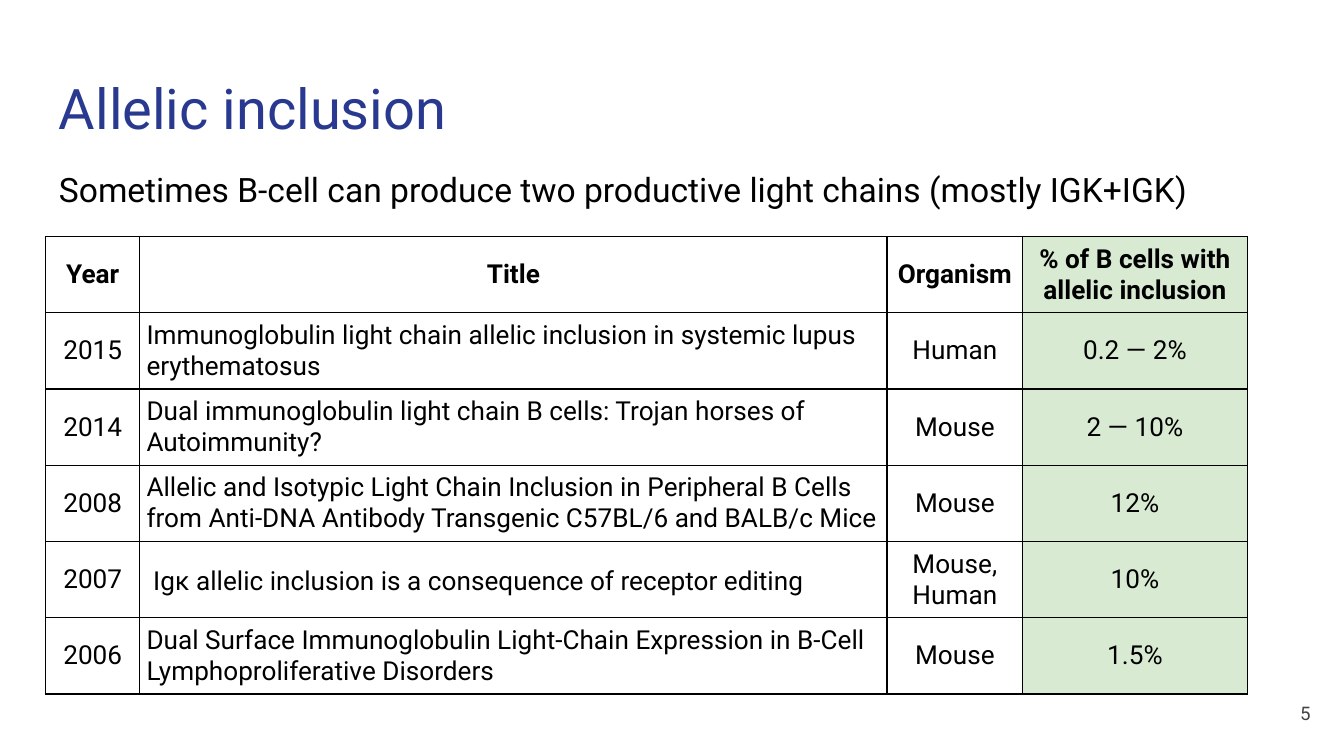
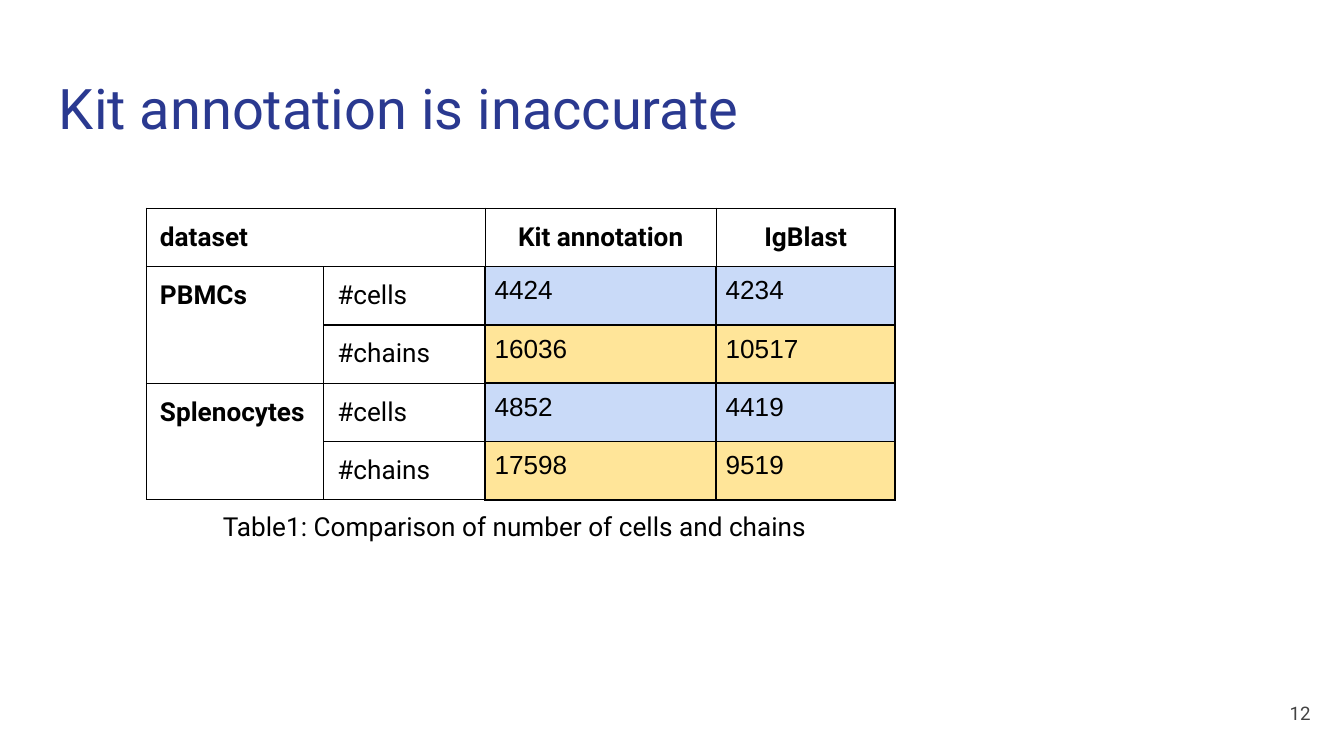
from dataclasses import dataclass
from typing import Optional

from lxml import etree
from pptx import Presentation
from pptx.dml.color import RGBColor
from pptx.enum.text import MSO_ANCHOR, PP_ALIGN
from pptx.oxml.ns import qn
from pptx.util import Inches, Pt

LEFT, CENTER, RIGHT = PP_ALIGN.LEFT, PP_ALIGN.CENTER, PP_ALIGN.RIGHT
TOP, MIDDLE = MSO_ANCHOR.TOP, MSO_ANCHOR.MIDDLE
BLANK_LAYOUT = 6
PAGE_WIDTH = Inches(10)
PAGE_HEIGHT = PAGE_WIDTH * 9 // 16

BLACK = "000000"
TITLE_BLUE = "2A3990"
NUMBER_GRAY = "434343"
GREEN = "D9EAD3"
BLUE = "C9DAF8"
YELLOW = "FFE599"
BODY_FONT = "Roboto"
COUNT_FONT = "Arial"


@dataclass(frozen=True)
class TextStyle:
    size: float
    color: str = BLACK
    align: PP_ALIGN = LEFT
    anchor: MSO_ANCHOR = TOP
    font: str = BODY_FONT
    bold: bool = False
    line_spacing: Optional[float] = None


@dataclass(frozen=True)
class TableCell:
    text: str
    style: TextStyle
    margin: float
    fill: Optional[str] = None
    border: float = 0.75
    indent: float = 0


TITLE = TextStyle(30, TITLE_BLUE)
SUBTITLE = TextStyle(18, line_spacing=1.15)
PAGE_NUMBER = TextStyle(10, NUMBER_GRAY, RIGHT, MIDDLE)
CAPTION = TextStyle(14, align=CENTER)

STUDY_HEADER = TextStyle(14, align=CENTER, anchor=MIDDLE, bold=True)
STUDY_VALUE = TextStyle(14, align=CENTER, anchor=MIDDLE)
STUDY_TITLE = TextStyle(14, anchor=MIDDLE)
STUDY_TITLE_LOOSE = TextStyle(14, anchor=MIDDLE, line_spacing=1.15)

DATASET_HEADER = TextStyle(14, align=CENTER, bold=True)
DATASET_NAME = TextStyle(14, bold=True)
MEASURE = TextStyle(14)
COUNT = TextStyle(14, font=COUNT_FONT)

STUDY_COLUMNS = ("Year", "Title", "Organism", "% of B cells with allelic inclusion")
STUDIES = (
    ("2015", "Immunoglobulin light chain allelic inclusion in systemic lupus erythematosus",
     "Human", "0.2 — 2%"),
    ("2014", "Dual immunoglobulin light chain B cells: Trojan horses of Autoimmunity?",
     "Mouse", "2 — 10%"),
    ("2008", "Allelic and Isotypic Light Chain Inclusion in Peripheral B Cells "
     "from Anti-DNA Antibody Transgenic C57BL/6 and BALB/c Mice", "Mouse", "12%"),
    ("2007", "Igκ allelic inclusion is a consequence of receptor editing",
     "Mouse, Human", "10%"),
    ("2006", "Dual Surface Immunoglobulin Light-Chain Expression in B-Cell "
     "Lymphoproliferative Disorders", "Mouse", "1.5%"),
)
SINGLE_LINE_YEAR = "2007"

DATASET_COLUMNS = ("dataset", "", "Kit annotation", "IgBlast")
DATASETS = (
    ("PBMCs", "#cells", "4424", "4234"),
    ("", "#chains", "16036", "10517"),
    ("Splenocytes", "#cells", "4852", "4419"),
    ("", "#chains", "17598", "9519"),
)


def rgb(value: str) -> RGBColor:
    return RGBColor.from_string(value)


def write_text(frame, text: str, style: TextStyle) -> None:
    para = frame.paragraphs[0]
    para.alignment = style.align
    if style.line_spacing:
        para.line_spacing = style.line_spacing
    para.font.name = style.font
    para.font.size = Pt(style.size)
    para.font.bold = style.bold
    para.font.color.rgb = rgb(style.color)
    if text:
        para.add_run().text = text


def add_text(page, text: str, style: TextStyle,
             left: float, top: float, width: float, height: float) -> None:
    box = page.shapes.add_textbox(Inches(left), Inches(top), Inches(width), Inches(height))
    frame = box.text_frame
    frame.word_wrap = True
    frame.vertical_anchor = style.anchor
    frame.margin_left = frame.margin_right = Inches(0.1)
    frame.margin_top = frame.margin_bottom = Inches(0.1)
    write_text(frame, text, style)


def add_page(deck, title: str, number: int):
    page = deck.slides.add_slide(deck.slide_layouts[BLANK_LAYOUT])
    add_text(page, title, TITLE, 0.34, 0.45, 9.32, 0.66)
    add_text(page, str(number), PAGE_NUMBER, 9.25, 5.09, 0.6, 0.43)
    return page


def set_borders(cell, width: float) -> None:
    properties = cell._tc.get_or_add_tcPr()
    for index, side in enumerate(("a:lnL", "a:lnR", "a:lnT", "a:lnB")):
        line = etree.Element(qn(side), w=str(Pt(width)))
        fill = etree.SubElement(line, qn("a:solidFill"))
        etree.SubElement(fill, qn("a:srgbClr"), val=BLACK)
        properties.insert(index, line)


def fill_cell(cell, content: TableCell) -> None:
    cell.vertical_anchor = content.style.anchor
    cell.margin_left = Inches(content.margin + content.indent)
    cell.margin_right = cell.margin_top = cell.margin_bottom = Inches(content.margin)
    write_text(cell.text_frame, content.text, content.style)
    if content.fill:
        cell.fill.solid()
        cell.fill.fore_color.rgb = rgb(content.fill)
    else:
        cell.fill.background()
    set_borders(cell, content.border)


def add_grid(page, rows: list[list[TableCell]], left: float, top: float,
             widths: tuple[float, ...], header_height: float, row_height: float):
    heights = [header_height] + [row_height] * (len(rows) - 1)
    frame = page.shapes.add_table(len(rows), len(widths), Inches(left), Inches(top),
                                  Inches(sum(widths)), Inches(sum(heights)))
    table = frame.table
    table.first_row = table.horz_banding = False
    for column, width in zip(table.columns, widths):
        column.width = Inches(width)
    for row_index, (row, height) in enumerate(zip(rows, heights)):
        table.rows[row_index].height = Inches(height)
        for column_index, content in enumerate(row):
            fill_cell(table.cell(row_index, column_index), content)
    return table


def study_row(study: tuple[str, ...]) -> list[TableCell]:
    year, title, organism, share = study
    single_line = year == SINGLE_LINE_YEAR
    return [
        TableCell(year, STUDY_VALUE, 0.05),
        TableCell(title, STUDY_TITLE_LOOSE if single_line else STUDY_TITLE, 0.05,
                  indent=0.05 if single_line else 0),
        TableCell(organism, STUDY_VALUE, 0.05),
        TableCell(share, STUDY_VALUE, 0.05, GREEN),
    ]


def dataset_row(dataset: tuple[str, ...]) -> list[TableCell]:
    name, measure, *counts = dataset
    fill = BLUE if measure == "#cells" else YELLOW
    return [
        TableCell(name, DATASET_NAME, 0.1),
        TableCell(measure, MEASURE, 0.1),
        *(TableCell(count, COUNT, 0.07, fill, 1) for count in counts),
    ]


def build_inclusion_page(deck) -> None:
    page = add_page(deck, "Allelic inclusion", 5)
    add_text(page, "Sometimes B-cell can produce two productive light chains (mostly IGK+IGK)",
             SUBTITLE, 0.34, 1.11, 9.32, 3.65)
    header = [TableCell(text, STUDY_HEADER, 0.05, GREEN if text.startswith("%") else None)
              for text in STUDY_COLUMNS]
    add_grid(page, [header, *map(study_row, STUDIES)], 0.34, 1.76,
             (0.7, 5.56, 1.01, 1.67), 0.27, 0.34)


def build_annotation_page(deck) -> None:
    page = add_page(deck, "Kit annotation is inaccurate", 12)
    header = [TableCell(text, DATASET_NAME if text == "dataset" else DATASET_HEADER, 0.1)
              for text in DATASET_COLUMNS]
    table = add_grid(page, [header, *map(dataset_row, DATASETS)], 1.09, 1.55,
                     (1.32, 1.2, 1.72, 1.33), 0.43, 0.42)
    table.cell(0, 0).merge(table.cell(0, 1))
    for first_row in (1, 3):
        table.cell(first_row, 0).merge(table.cell(first_row + 1, 0))
    add_text(page, "Table1: Comparison of number of cells and chains", CAPTION,
             0.66, 3.7, 6.34, 0.45)


def main() -> None:
    deck = Presentation()
    deck.slide_width = PAGE_WIDTH
    deck.slide_height = PAGE_HEIGHT
    build_inclusion_page(deck)
    build_annotation_page(deck)
    deck.save("out.pptx")


if __name__ == "__main__":
    main()
